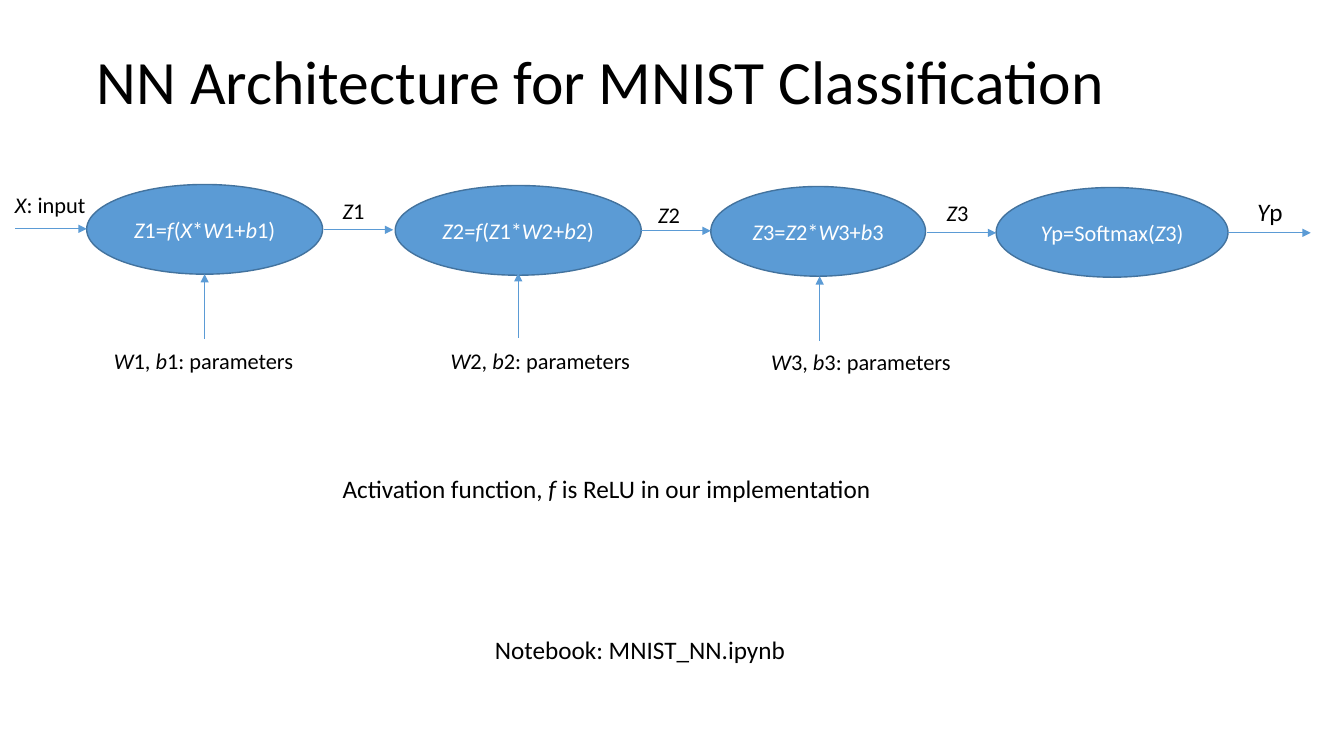
from lxml import etree
from pptx import Presentation
from pptx.dml.color import RGBColor
from pptx.enum import shapes, text
from pptx.oxml import ns
from pptx.util import Inches, Pt

BLACK = RGBColor(0x00, 0x00, 0x00)
WHITE = RGBColor(0xFF, 0xFF, 0xFF)
BLUE = RGBColor(0x5B, 0x9B, 0xD5)
DARK_BLUE = RGBColor(0x43, 0x73, 0x9E)


class Diagram:
    """Holds the style and the current slide."""

    font_name = "Calibri"

    def __init__(self, slide):
        self.slide = slide

    def fill_text(self, shape, markup, size, color=BLACK, align=text.PP_ALIGN.LEFT,
                  **frame_format):
        """Fill a shape with one paragraph; |bars| enclose italic parts."""
        frame = shape.text_frame
        for name, value in frame_format.items():
            setattr(frame, name, value)
        paragraph = frame.paragraphs[0]
        paragraph.alignment = align
        for index, part in enumerate(markup.split("|")):
            if not part:
                continue
            run = paragraph.add_run()
            run.text = part
            run.font.color.rgb = color
            font_format = {"name": self.font_name, "size": Pt(size), "italic": index % 2 == 1}
            for name, value in font_format.items():
                setattr(run.font, name, value)
        return paragraph

    def title(self, markup, left, top, width, height):
        shape = self.slide.shapes.title
        box = {"left": left, "top": top, "width": width, "height": height}
        for name, value in box.items():
            setattr(shape, name, Inches(value))
        paragraph = self.fill_text(shape, markup, 44, word_wrap=True,
                                   auto_size=text.MSO_AUTO_SIZE.NONE,
                                   vertical_anchor=text.MSO_ANCHOR.MIDDLE)
        paragraph.line_spacing = 0.9

    def label(self, markup, left, top, width, height=0.37, size=16):
        shape = self.slide.shapes.add_textbox(*map(Inches, (left, top, width, height)))
        self.fill_text(shape, markup, size, word_wrap=False,
                       auto_size=text.MSO_AUTO_SIZE.SHAPE_TO_FIT_TEXT)

    def ellipse(self, markup, left, top, width, height=0.89):
        shape = self.slide.shapes.add_shape(
            shapes.MSO_SHAPE.OVAL, *map(Inches, (left, top, width, height)))
        shape.shadow.inherit = False
        shape.fill.solid()
        shape.fill.fore_color.rgb = BLUE
        shape.line.color.rgb = DARK_BLUE
        shape.line.width = Pt(1)
        self.fill_text(shape, markup, 16, WHITE, text.PP_ALIGN.CENTER, word_wrap=True,
                       vertical_anchor=text.MSO_ANCHOR.MIDDLE)

    def arrow(self, x1, y1, x2, y2):
        connector = self.slide.shapes.add_connector(
            shapes.MSO_CONNECTOR.STRAIGHT, *map(Inches, (x1, y1, x2, y2)))
        connector.line.color.rgb = BLUE
        connector.line.width = Pt(0.5)
        properties = connector.element.spPr
        etree.SubElement(properties.find(ns.qn("a:ln")), ns.qn("a:tailEnd"), type="triangle")
        etree.SubElement(properties, ns.qn("a:effectLst"))


presentation = Presentation()
presentation.slide_width = Inches(13.33)
presentation.slide_height = Inches(7.5)
diagram = Diagram(presentation.slides.add_slide(presentation.slide_layouts[5]))

diagram.title("NN Architecture for MNIST Classification", 0.86, 0.11, 11.5, 1.45)

# Layers: formula, left, top, width
layers = [
    ("|Z|1=|f|(|X|*|W|1+|b|1)", 0.86, 1.83, 2.34),
    ("|Z|2=|f|(|Z|1*|W|2+|b|2)", 3.92, 1.84, 2.44),
    ("|Z|3=|Z|2*|W|3+|b|3", 7.05, 1.85, 2.13),
    ("|Y|p=Softmax(|Z|3)", 9.88, 1.86, 2.3),
]
for layer in layers:
    diagram.ellipse(*layer)

# Data flow between the layers: start, end, height
for start, end, y in [(0.15, 0.86, 2.27), (3.21, 3.9, 2.28), (6.36, 7.05, 2.29),
                      (9.19, 9.88, 2.31), (12.18, 13, 2.31)]:
    diagram.arrow(start, y, end, y)

diagram.label("|X|: input", 0.05, 1.85, 0.91)
for number, (left, top) in enumerate([(3.3, 1.91), (6.43, 1.95), (9.29, 1.93)], 1):
    diagram.label(f"|Z|{number}", left, top, 0.42)
diagram.label("|Y|p", 12.37, 1.9, 0.46, 0.4, 18)

# Parameters: label left, label top, arrow x, arrow tip
parameters = [(1.03, 3.39, 2.03, 2.72), (4.37, 3.39, 5.14, 2.71), (7.55, 3.4, 8.13, 2.74)]
for number, (left, top, x, tip) in enumerate(parameters, 1):
    diagram.label(f"|W|{number}, |b|{number}: parameters", left, top, 2.01)
    diagram.arrow(x, tip + 0.64, x, tip)

# Remarks
diagram.label("Activation function, |f| is ReLU in our implementation", 3.3, 4.65, 5.5, 0.4, 18)
diagram.label("Notebook: MNIST_NN.ipynb", 4.81, 6.24, 3.11, 0.4, 18)

presentation.save("out.pptx")
